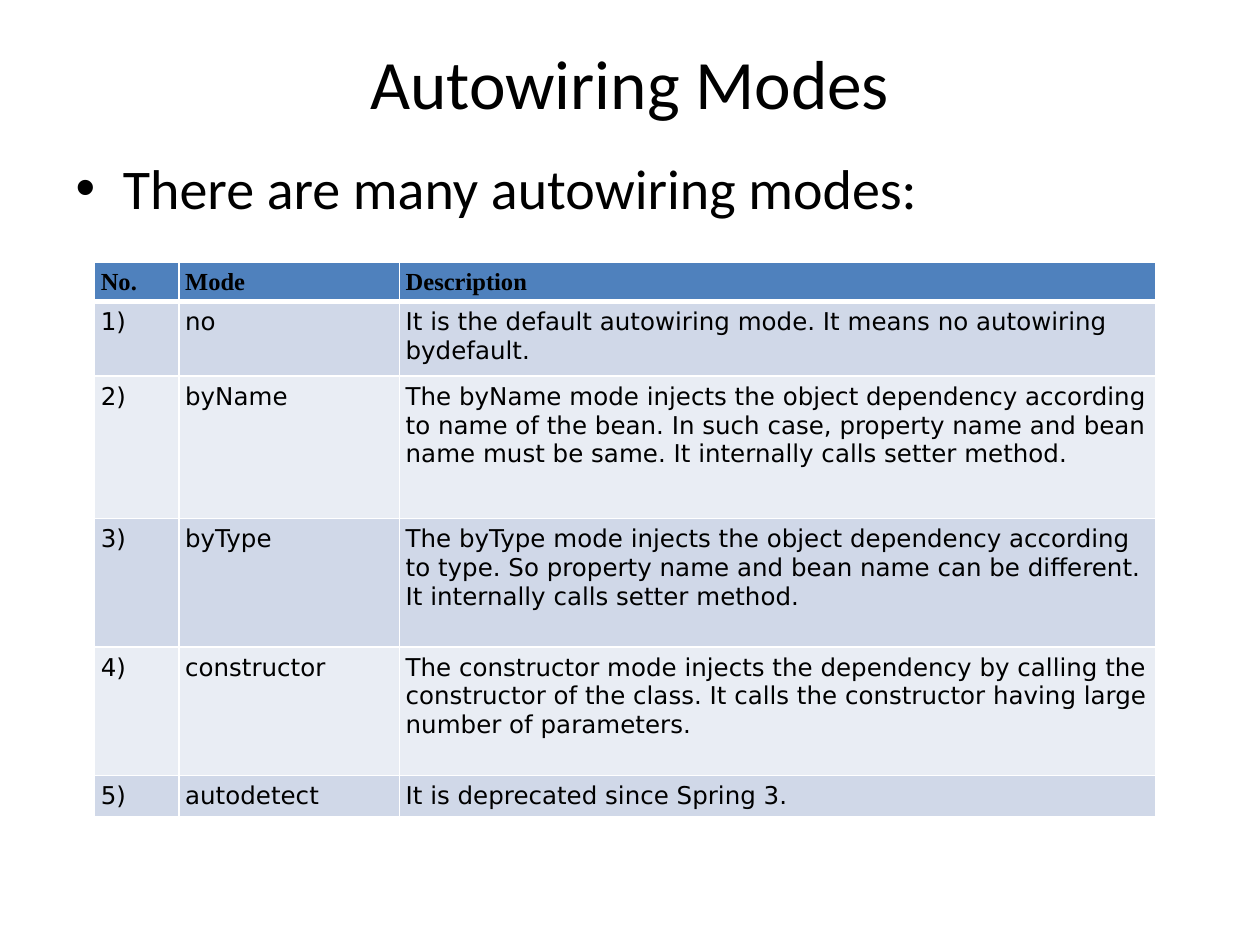
from dataclasses import dataclass

from lxml.etree import SubElement
from pptx import Presentation
from pptx.dml.color import RGBColor
from pptx.enum.text import MSO_ANCHOR, PP_ALIGN
from pptx.oxml.ns import qn
from pptx.util import Inches, Pt


@dataclass(frozen=True)
class Theme:
    text: str = "000000"
    border: str = "FFFFFF"
    header: str = "4F81BD"
    bands: tuple = ("D0D8E8", "E9EDF4")
    main_font: str = "Calibri"
    header_font: str = "Times New Roman"
    cell_font: str = "DejaVu Sans"
    title_size: float = 39.6
    body_size: float = 32
    cell_size: float = 14


THEME = Theme()

COLUMN_WIDTHS = (0.67, 1.75, 6)
ROW_HEIGHTS = (0.28, 0.59, 1.13, 1.02, 1.02, 0.28)
HEADINGS = ("No.", "Mode", "Description")
MODES = (
    ("no", "It is the default autowiring mode. It means no autowiring bydefault."),
    ("byName", "The byName mode injects the object dependency according to name of "
               "the bean. In such case, property name and bean name must be same. "
               "It internally calls setter method."),
    ("byType", "The byType mode injects the object dependency according to type. "
               "So property name and bean name can be different. "
               "It internally calls setter method."),
    ("constructor", "The constructor mode injects the dependency by calling the "
                    "constructor of the class. It calls the constructor having "
                    "large number of parameters."),
    ("autodetect", "It is deprecated since Spring 3."),
)


def style_font(p, name, size, bold=False):
    p.font.name = name
    p.font.size = Pt(size)
    p.font.bold = bold
    p.font.color.rgb = RGBColor.from_string(THEME.text)


def fill_placeholder(shape, text, box, size):
    shape.left, shape.top, shape.width, shape.height = map(Inches, box)
    shape.text_frame.text = text
    p = shape.text_frame.paragraphs[0]
    style_font(p, THEME.main_font, size)
    return p


def set_borders(cell, bottom):
    tc_pr = cell._tc.get_or_add_tcPr()
    for side, width in (("L", 1), ("R", 1), ("T", 1), ("B", bottom)):
        line = SubElement(tc_pr, qn(f"a:ln{side}"), w=str(Pt(width)))
        SubElement(SubElement(line, qn("a:solidFill")), qn("a:srgbClr"), val=THEME.border)


def fill_cell(cell, text, color, font, bold=False, bottom=1):
    cell.margin_left = cell.margin_right = Inches(0.05)
    cell.margin_top = cell.margin_bottom = Inches(0.05)
    set_borders(cell, bottom)
    cell.fill.solid()
    cell.fill.fore_color.rgb = RGBColor.from_string(color)
    cell.text = text
    style_font(cell.text_frame.paragraphs[0], font, THEME.cell_size, bold)


def add_modes_table(s):
    frame = s.shapes.add_table(
        len(ROW_HEIGHTS), len(COLUMN_WIDTHS), Inches(0.75), Inches(2.08),
        Inches(sum(COLUMN_WIDTHS)), Inches(sum(ROW_HEIGHTS)))
    table = frame.table
    for column, width in zip(table.columns, COLUMN_WIDTHS):
        column.width = Inches(width)
    for row, height in zip(table.rows, ROW_HEIGHTS):
        row.height = Inches(height)

    # Header row
    for cell, heading in zip(table.rows[0].cells, HEADINGS):
        fill_cell(cell, heading, THEME.header, THEME.header_font, bold=True, bottom=3)

    # Numbered, banded rows
    for number, mode in enumerate(MODES, start=1):
        color = THEME.bands[(number - 1) % 2]
        for cell, text in zip(table.rows[number].cells, (f"{number})", *mode)):
            fill_cell(cell, text, color, THEME.cell_font)


def main():
    prs = Presentation()
    prs.slide_width, prs.slide_height = Inches(10), Inches(7.5)
    s = prs.slides.add_slide(prs.slide_layouts[1])

    # Title and introduction
    title = s.shapes.title
    p = fill_placeholder(title, "Autowiring Modes", (0.5, 0.3, 9, 0.7), THEME.title_size)
    p.alignment = PP_ALIGN.CENTER
    title.text_frame.vertical_anchor = MSO_ANCHOR.MIDDLE
    fill_placeholder(s.placeholders[1], "There are many autowiring modes:",
                     (0.5, 1.17, 9, 5.53), THEME.body_size)

    # Table of modes
    add_modes_table(s)
    prs.save("out.pptx")


if __name__ == "__main__":
    main()
